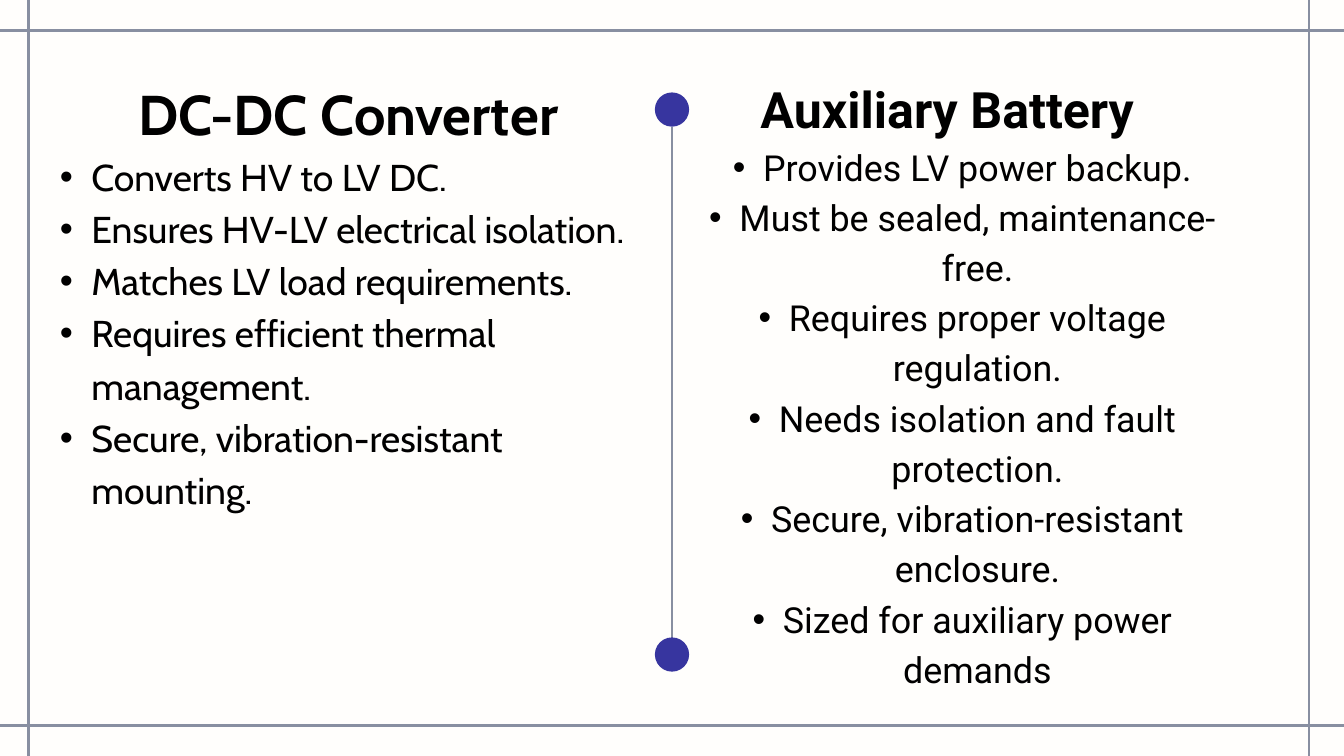
from lxml import etree
from pptx import Presentation
from pptx import util as u
from pptx.dml.color import RGBColor
from pptx.enum import shapes, text
from pptx.oxml.ns import qn

PAPER = RGBColor(0xFF, 0xFE, 0xFC)
RULE = RGBColor(0x88, 0x8F, 0xA1)
DOT = RGBColor(0x37, 0x35, 0x9F)
INK = RGBColor(0, 0, 0)

WIDE, HIGH = 20, 11.25
MID = WIDE / 2
EDGE = 0.42  # left frame line, also the left column's start
TOP = 1.01   # top of both columns
GAP = 0.06   # keeps the left column clear of the divider
SIZE = 0.51  # dot diameter
LEAD = 1.4   # line pitch as a share of the text size

LEFT = ("DC-DC Converter", [
    "Converts HV to LV DC.",
    "Ensures HV-LV electrical isolation.",
    "Matches LV load requirements.",
    "Requires efficient thermal management.",
    "Secure, vibration-resistant mounting.",
])
RIGHT = ("Auxiliary Battery", [
    "Provides LV power backup.",
    "Must be sealed, maintenance-free.",
    "Requires proper voltage regulation.",
    "Needs isolation and fault protection.",
    "Secure, vibration-resistant enclosure.",
    "Sized for auxiliary power demands",
])


def add_rule(slide, x1, y1, x2, y2):
    line = slide.shapes.add_connector(
        shapes.MSO_CONNECTOR.STRAIGHT, *map(u.Inches, (x1, y1, x2, y2)))
    line.line.color.rgb = RULE
    line.line.width = u.Pt(3)
    etree.SubElement(line._element.spPr, qn("a:effectLst"))


def add_dot(slide, x, y):
    """Place a dot by its centre."""
    dot = slide.shapes.add_shape(
        shapes.MSO_SHAPE.OVAL, u.Inches(x - SIZE / 2), u.Inches(y - SIZE / 2),
        u.Inches(SIZE), u.Inches(SIZE))
    dot.shadow.inherit = False
    dot.fill.solid()
    dot.fill.fore_color.rgb = DOT
    dot.line.fill.background()


def add_line(para, words, face, size, align, bold=False):
    para.alignment = align
    para.line_spacing = u.Pt(round(size * LEAD, 1))
    run = para.add_run()
    run.text = words
    run.font.name = face
    run.font.size = u.Pt(size)
    run.font.bold = bold
    run.font.color.rgb = INK


def add_bullet(para, hang):
    props = para._p.get_or_add_pPr()
    props.set("marL", str(u.Inches(2 * hang)))
    props.set("indent", str(-u.Inches(hang)))
    etree.SubElement(props, qn("a:buFont"), typeface="Arial")
    etree.SubElement(props, qn("a:buChar"), char="•")


def add_column(slide, box, topic, face, head, body, hang, align):
    """Add a centred heading with a bullet list below it."""
    frame = slide.shapes.add_textbox(*map(u.Inches, box)).text_frame
    frame.word_wrap = True
    frame.margin_left = frame.margin_right = 0
    frame.margin_top = frame.margin_bottom = 0
    title, items = topic
    add_line(frame.paragraphs[0], title, face, head,
             text.PP_ALIGN.CENTER, bold=True)
    for item in items:
        para = frame.add_paragraph()
        para.level = 1
        add_line(para, item, face, body, align)
        add_bullet(para, hang)


def main():
    deck = Presentation()
    deck.slide_width, deck.slide_height = u.Inches(WIDE), u.Inches(HIGH)
    slide = deck.slides.add_slide(deck.slide_layouts[6])
    slide.background.fill.solid()
    slide.background.fill.fore_color.rgb = PAPER

    # Frame lines across the whole slide
    for y in (HIGH - 0.45, 0.45):
        add_rule(slide, 0, y, WIDE, y)
    for x in (EDGE, 19.48):
        add_rule(slide, x, 0, x, HIGH)

    # Two text columns
    add_column(slide, (EDGE, TOP, MID - EDGE - GAP, 8.84), LEFT,
               "Cabin", 60, 40, 0.47, text.PP_ALIGN.LEFT)
    add_column(slide, (MID, TOP, 8.19, 9.61), RIGHT,
               "Roboto", 53.7, 38.4, 0.45, text.PP_ALIGN.CENTER)

    # Divider with a dot at each end
    ends = (1.63, 9.74)
    add_rule(slide, MID, ends[0] + SIZE / 2, MID, ends[1])
    for y in ends:
        add_dot(slide, MID, y)

    deck.save("out.pptx")


if __name__ == "__main__":
    main()
